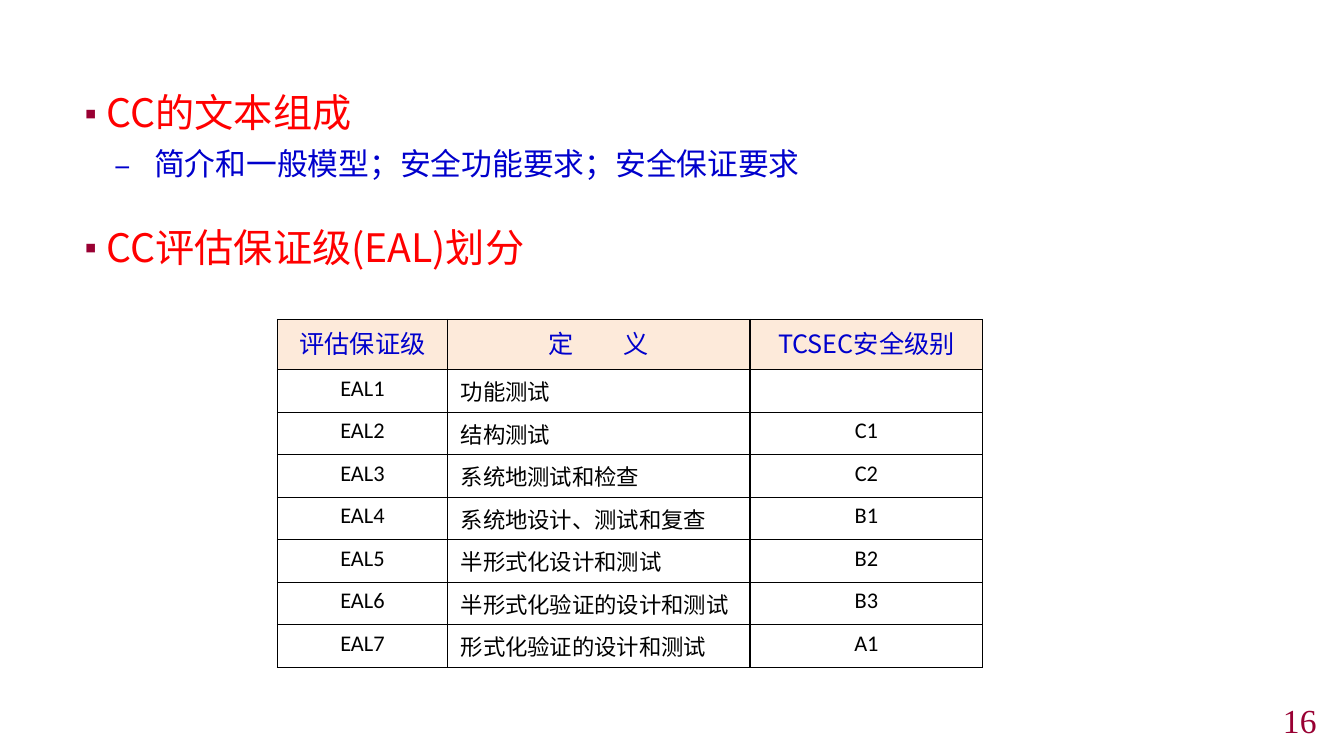
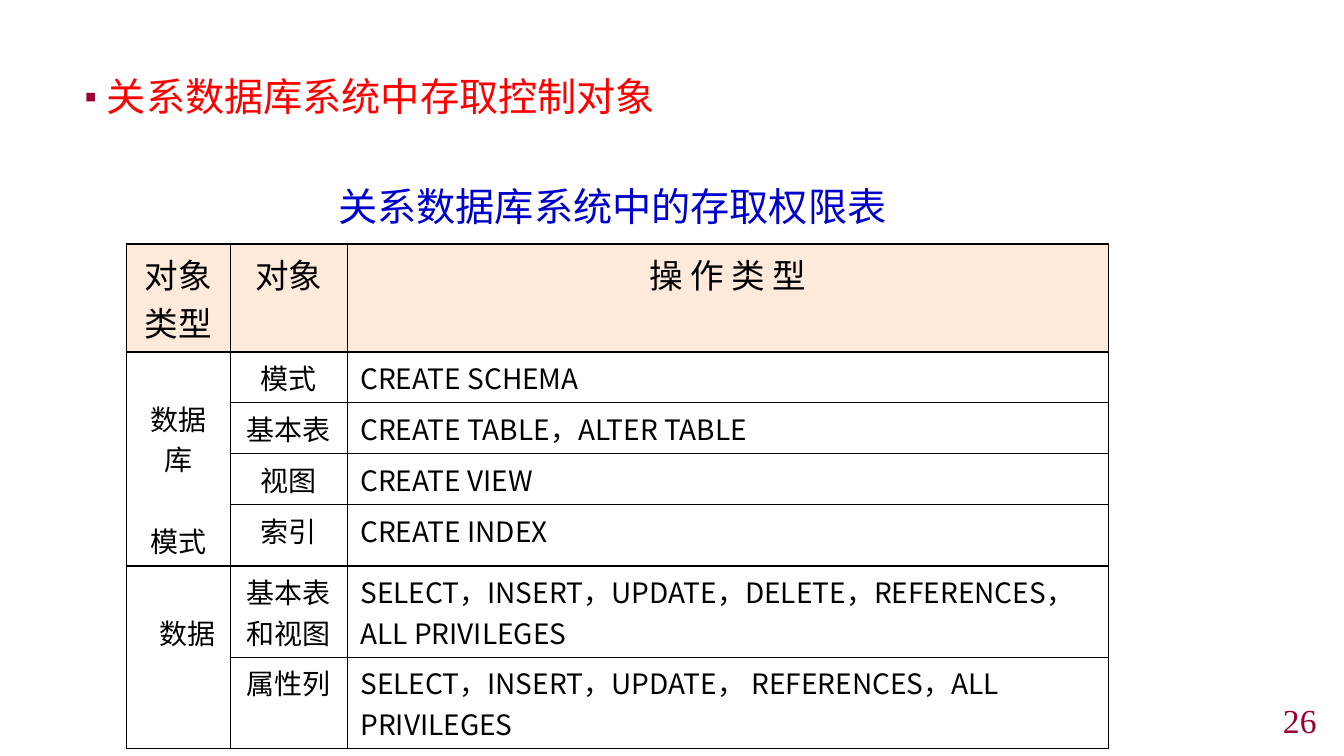
from lxml.etree import SubElement
from pptx import Presentation
from pptx.dml.color import RGBColor as Rgb
from pptx.enum.text import MSO_ANCHOR as Anchor, MSO_AUTO_SIZE as Fit, PP_ALIGN as Align
from pptx.oxml import parse_xml
from pptx.oxml.ns import nsdecls, qn
from pptx.util import Cm, Pt

HUES = {"wine": "990033", "red": "FF0000", "blue": "0000CC",
        "black": "000000", "peach": "FDEADA"}
SANS = "Noto Sans CJK SC"
MARKS = [("▪", "wine", 80, 0.74, 0.74), ("–", "blue", 100, 1.98, 0.99)]


def style(para, size, hue, face=SANS, align=Align.LEFT):
    para.alignment = align
    para.font.size = Pt(size)
    para.font.color.rgb = Rgb.from_string(HUES[hue])
    para.font.name = face
    base = para._p.pPr.find(qn("a:defRPr"))
    SubElement(base, qn("a:ea")).set("typeface", SANS)


def label(slide, text, box, size, hue, face, align):
    shape = slide.shapes.add_textbox(*[Cm(n) for n in box])
    frame = shape.text_frame
    frame.word_wrap = False
    frame.vertical_anchor = Anchor.MIDDLE
    frame.text = text
    style(frame.paragraphs[0], size, hue, face, align)


PAGES = [
    {
        "no": "16",
        "top": 2.11,
        "list": [("CC的文本组成", 0, 28, "red", 6),
                 ("简介和一般模型；安全功能要求；安全保证要求", 1, 22, "blue", 6),
                 ("CC评估保证级(EAL)划分", 0, 28, "red", 30)],
        "at": (6.99, 8.05),
        "cols": [4.29, 7.62, 5.87],
        "rows": [1.27] + [1.07] * 7,
        "head": (18, "blue"),
        "body": (16, "Calibri"),
        "left": 1,
        "spans": [],
        "cells": [
            ["评估保证级", "定　　义", "TCSEC安全级别"],
            ["EAL1", "功能测试", ""],
            ["EAL2", "结构测试", "C1"],
            ["EAL3", "系统地测试和检查", "C2"],
            ["EAL4", "系统地设计、测试和复查", "B1"],
            ["EAL5", "半形式化设计和测试", "B2"],
            ["EAL6", "半形式化验证的设计和测试", "B3"],
            ["EAL7", "形式化验证的设计和测试", "A1"],
        ],
    },
    {
        "no": "26",
        "top": 1.7,
        "list": [("关系数据库系统中存取控制对象", 0, 28, "red", 6)],
        "at": (3.18, 6.15),
        "cols": [2.62, 2.95, 19.18],
        "rows": [2.72, 1.28, 1.28, 1.28, 1.55, 2.3, 2.3],
        "head": (24, "black"),
        "body": (20, SANS),
        "left": 2,
        "spans": [(1, 4, 0.33), (5, 6, 0.79)],
        "cells": [
            ["对象类型", "对象", "操 作 类 型"],
            ["数据库\n模式", "模式", "CREATE SCHEMA"],
            ["", "基本表", "CREATE TABLE，ALTER TABLE"],
            ["", "视图", "CREATE VIEW"],
            ["", "索引", "CREATE INDEX"],
            ["数据", "基本表和视图",
             "SELECT，INSERT，UPDATE，DELETE，REFERENCES，ALL PRIVILEGES"],
            ["", "属性列", "SELECT，INSERT，UPDATE， REFERENCES，ALL PRIVILEGES"],
        ],
    },
]

deck = Presentation()
deck.slide_width, deck.slide_height = Cm(33.87), Cm(19.05)

for page in PAGES:
    slide = deck.slides.add_slide(deck.slide_layouts[1])
    title, body = slide.placeholders
    title.element.getparent().remove(title.element)
    body.left, body.top = Cm(1.65), Cm(page["top"])
    body.width, body.height = Cm(30.58), Cm(18.15 - page["top"])

    frame = body.text_frame
    frame.auto_size = Fit.NONE
    frame.text = "\n".join(item[0] for item in page["list"])
    for para, (text, level, size, hue, gap) in zip(frame.paragraphs, page["list"]):
        para.level = level
        para.line_spacing = 1.0
        para.space_before = Pt(gap)
        mark, tint, scale, left, hang = MARKS[level]
        props = para._p.get_or_add_pPr()
        props.set("marL", str(Cm(left)))
        props.set("indent", str(-Cm(hang)))
        color = SubElement(props, qn("a:buClr"))
        SubElement(color, qn("a:srgbClr")).set("val", HUES[tint])
        SubElement(props, qn("a:buSzPct")).set("val", str(scale * 1000))
        SubElement(props, qn("a:buFont")).set("typeface", SANS)
        SubElement(props, qn("a:buChar")).set("char", mark)
        style(para, size, hue)

    cols, rows = page["cols"], page["rows"]
    left, top = page["at"]
    table = slide.shapes.add_table(
        len(rows), len(cols), Cm(left), Cm(top), Cm(sum(cols)), Cm(sum(rows))).table
    table.first_row = table.horz_banding = False
    for col, width in zip(table.columns, cols):
        col.width = Cm(width)
    for row, height in zip(table.rows, rows):
        row.height = Cm(height)

    for r, line in enumerate(page["cells"]):
        for c, text in enumerate(line):
            cell = table.cell(r, c)
            cell.margin_left = cell.margin_right = Cm(0.33)
            cell.text = text
            if r == 0:
                size, hue = page["head"]
                face = SANS
                cell.fill.solid()
                cell.fill.fore_color.rgb = Rgb.from_string(HUES["peach"])
            else:
                size, face = page["body"]
                hue = "black"
                cell.fill.background()
            align = Align.LEFT if r and c == page["left"] else Align.CENTER
            for para in cell.text_frame.paragraphs:
                style(para, size, hue, face, align)
            props = cell._tc.get_or_add_tcPr()
            for i, side in enumerate("LRTB"):
                props.insert(i, parse_xml(
                    f'<a:ln{side} {nsdecls("a")} w="12700"><a:solidFill>'
                    f'<a:srgbClr val="{HUES["black"]}"/></a:solidFill></a:ln{side}>'))

    for first, last, inset in page["spans"]:
        cell = table.cell(first, 0)
        cell.merge(table.cell(last, 0))
        cell.margin_top, cell.margin_left = Cm(1.15), Cm(inset)
        for para in cell.text_frame.paragraphs[1:]:
            para.space_before = Pt(29)

    label(slide, page["no"], (26.24, 17.75, 7.19, 0.79), 24, "wine",
          "Times New Roman", Align.RIGHT)

label(slide, "关系数据库系统中的存取权限表", (8.28, 4.47, 14.53, 1.45), 28, "blue",
      SANS, Align.LEFT)

deck.save("out.pptx")
